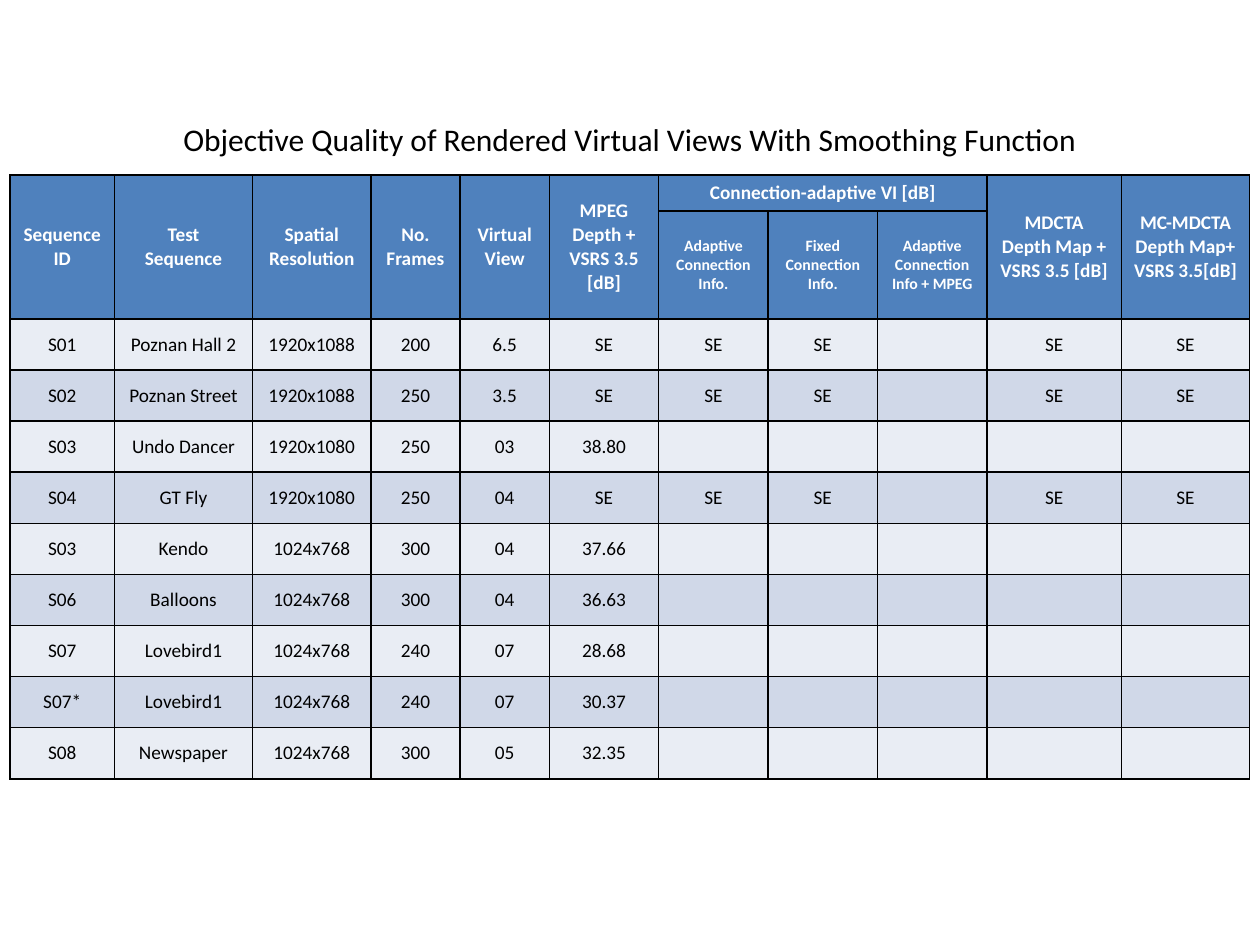
from lxml.etree import SubElement
from pptx import Presentation
from pptx.dml.color import RGBColor
from pptx.enum.text import MSO_ANCHOR as Anchor, PP_ALIGN as Align
from pptx.oxml.ns import qn
from pptx.util import Inches, Pt

COLORS = {"header": "4F81BD", "light": "E9EDF4", "dark": "D0D8E8",
          "white": "FFFFFF", "black": "000000"}
FONT = "Calibri"
HEADER_TEXT = {"size": Pt(11), "bold": True, "color": "white"}
SUBHEADER_TEXT = {**HEADER_TEXT, "size": Pt(9)}
BODY_TEXT = {"size": Pt(11), "bold": False, "color": "black"}
TITLE_TEXT = {"size": Pt(18), "bold": False, "color": "black"}

SLIDE_W, SLIDE_H = 10, 7.5
COLUMNS = [0.83, 1.1, 0.94, 0.71, 0.71, 0.87, 0.87, 0.87, 0.87, 1.07, 1.02]
HEADER_ROWS = [0.28, 0.83]

TITLE = "Objective Quality of Rendered Virtual Views With Smoothing Function"
# Header text by column; each one covers both header rows
HEADERS = {
    0: "Sequence\nID",
    1: "Test\nSequence",
    2: "Spatial Resolution",
    3: "No. Frames",
    4: "Virtual\nView",
    5: "MPEG Depth + VSRS 3.5\n[dB]",
    9: "MDCTA Depth Map + VSRS 3.5 [dB]",
    10: "MC-MDCTA Depth Map+\nVSRS 3.5[dB]",
}
GROUP = "Connection-adaptive VI [dB]"
GROUP_COLUMNS = {
    6: "Adaptive\nConnection Info.",
    7: "Fixed\nConnection Info.",
    8: "Adaptive Connection Info + MPEG",
}
SE_RESULTS = ["SE", "SE", "SE", "", "SE", "SE"]
SEQUENCES = [
    ["S01", "Poznan Hall 2", "1920x1088", "200", "6.5", *SE_RESULTS],
    ["S02", "Poznan Street", "1920x1088", "250", "3.5", *SE_RESULTS],
    ["S03", "Undo Dancer", "1920x1080", "250", "03", "38.80"],
    ["S04", "GT Fly", "1920x1080", "250", "04", *SE_RESULTS],
    ["S03", "Kendo", "1024x768", "300", "04", "37.66"],
    ["S06", "Balloons", "1024x768", "300", "04", "36.63"],
    ["S07", "Lovebird1", "1024x768", "240", "07", "28.68"],
    ["S07*", "Lovebird1", "1024x768", "240", "07", "30.37"],
    ["S08", "Newspaper", "1024x768", "300", "05", "32.35"],
]


def rgb(name):
    return RGBColor.from_string(COLORS[name])


def write(frame, text, style):
    """Write centred lines in one style."""
    frame.text = text
    for line in frame.paragraphs:
        line.alignment = Align.CENTER
        for run in line.runs:
            run.font.name = FONT
            run.font.color.rgb = rgb(style["color"])
            for key in ("size", "bold"):
                setattr(run.font, key, style[key])


def format_cell(cell, fill):
    """Give a cell its margins, black grid lines and fill."""
    layout = {"margin_left": Inches(0.09), "margin_right": Inches(0.09),
              "vertical_anchor": Anchor.MIDDLE}
    for key, value in layout.items():
        setattr(cell, key, value)
    props = cell._tc.get_or_add_tcPr()
    for side in ("a:lnL", "a:lnR", "a:lnT", "a:lnB"):
        line = SubElement(props, qn(side), w=str(Pt(1)))
        solid = SubElement(line, qn("a:solidFill"))
        SubElement(solid, qn("a:srgbClr"), val=COLORS["black"])
    cell.fill.solid()
    cell.fill.fore_color.rgb = rgb(fill)


def add_title(slide, left, top, width, height):
    box = slide.shapes.add_textbox(*map(Inches, (left, top, width, height)))
    box.text_frame.word_wrap = True
    write(box.text_frame, TITLE, TITLE_TEXT)


def add_header(table):
    for column, text in HEADERS.items():
        table.cell(0, column).merge(table.cell(1, column))
        write(table.cell(0, column).text_frame, text, HEADER_TEXT)
    first, last = min(GROUP_COLUMNS), max(GROUP_COLUMNS)
    table.cell(0, first).merge(table.cell(0, last))
    write(table.cell(0, first).text_frame, GROUP, HEADER_TEXT)
    for column, text in GROUP_COLUMNS.items():
        write(table.cell(1, column).text_frame, text, SUBHEADER_TEXT)


def add_quality_table(slide, left, top, width, height):
    header_count = len(HEADER_ROWS)
    table = slide.shapes.add_table(
        header_count + len(SEQUENCES), len(COLUMNS),
        *map(Inches, (left, top, width, height))).table
    for flag in ("first_row", "horz_banding"):
        setattr(table, flag, False)

    # Grid: columns share the width, sequence rows share what the header leaves
    for column, share in zip(table.columns, COLUMNS):
        column.width = Inches(width * share / sum(COLUMNS))
    body_row = (height - sum(HEADER_ROWS)) / len(SEQUENCES)
    row_heights = HEADER_ROWS + [body_row] * len(SEQUENCES)
    for index, (row, row_height) in enumerate(zip(table.rows, row_heights)):
        row.height = Inches(row_height)
        band = "dark" if index % 2 else "light"
        for cell in row.cells:
            format_cell(cell, "header" if index < header_count else band)

    add_header(table)
    # Sequence rows
    for row, values in enumerate(SEQUENCES, header_count):
        for column, value in enumerate(values):
            if value:
                write(table.cell(row, column).text_frame, value, BODY_TEXT)


def main():
    deck = Presentation()
    deck.slide_width, deck.slide_height = Inches(SLIDE_W), Inches(SLIDE_H)
    slide = deck.slides.add_slide(deck.slide_layouts[6])
    margin = 0.008 * SLIDE_W
    add_quality_table(slide, margin, 0.185 * SLIDE_H,
                      SLIDE_W - 2 * margin, 0.635 * SLIDE_H)
    add_title(slide, 0, 0.12 * SLIDE_H, SLIDE_W, 0.05 * SLIDE_H)
    deck.save("out.pptx")


if __name__ == "__main__":
    main()
